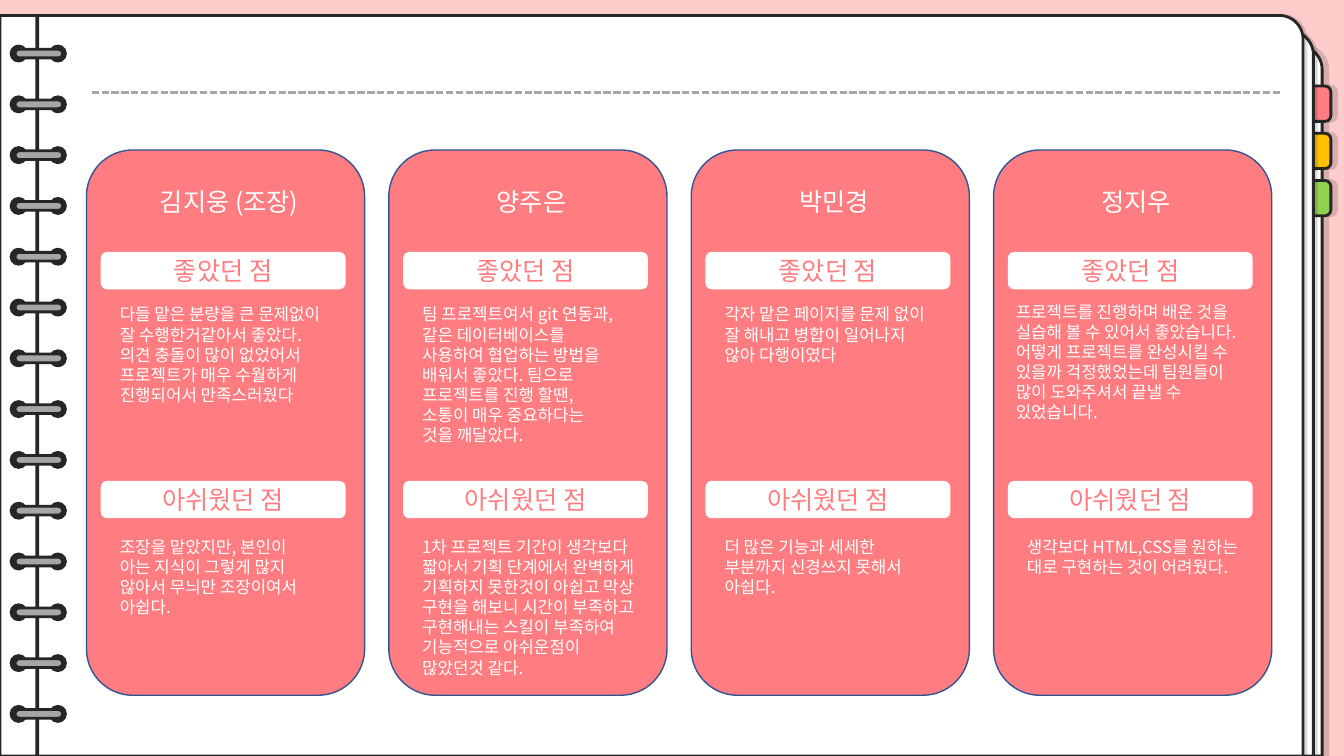
"""Builds a notebook-style slide with four team members' project reviews."""
from lxml import etree
from pptx import Presentation
from pptx.dml.color import RGBColor
from pptx.enum.dml import MSO_LINE
from pptx.enum.shapes import MSO_CONNECTOR, MSO_SHAPE
from pptx.enum.text import MSO_ANCHOR, MSO_AUTO_SIZE, PP_ALIGN
from pptx.oxml.ns import qn
from pptx.util import Cm, Pt

RECT, OVAL, ROUND = MSO_SHAPE.RECTANGLE, MSO_SHAPE.OVAL, MSO_SHAPE.ROUNDED_RECTANGLE
PAGE, TAB = MSO_SHAPE.ROUND_1_RECTANGLE, MSO_SHAPE.ROUND_2_SAME_RECTANGLE
STRAIGHT, DASH = MSO_CONNECTOR.STRAIGHT, MSO_LINE.SQUARE_DOT
MIDDLE, GROW = MSO_ANCHOR.MIDDLE, MSO_AUTO_SIZE.SHAPE_TO_FIT_TEXT
LEFT, CENTER = PP_ALIGN.LEFT, PP_ALIGN.CENTER
FONT = "Noto Sans CJK KR"
COLORS = {"bg": "FFCCCC", "white": "FFFFFF", "ink": "262626", "grey": "A6A6A6",
          "pink": "FF7C80", "amber": "FFC000", "green": "92D050", "navy": "325491"}
RGB = {k: RGBColor.from_string(v) for k, v in COLORS.items()}


def add_box(kind, x, y, w, h, fill, line=None, width=2, shadow=0):
    sp = s.shapes.add_shape(kind, Cm(x), Cm(y), Cm(w), Cm(h))
    sp.shadow.inherit = False
    sp.fill.solid()
    sp.fill.fore_color.rgb = RGB[fill]
    if line:
        sp.line.color.rgb = RGB[line]
        sp.line.width = Pt(width)
    else:
        sp.line.fill.background()
    if shadow:
        effects = sp._element.spPr.find(qn("a:effectLst"))
        outer = etree.SubElement(effects, qn("a:outerShdw"), dist=str(Pt(shadow)),
                                 dir="0", algn="l", rotWithShape="0")
        clr = etree.SubElement(outer, qn("a:srgbClr"), val="000000")
        etree.SubElement(clr, qn("a:alpha"), val="15000")
    return sp


def write(sp, text, size, color, align):
    tf = sp.text_frame
    tf.word_wrap = True
    tf.text = text
    for p in tf.paragraphs:
        p.alignment = align
        for r in p.runs:
            r.font.size = Pt(size)
            r.font.name = FONT
            r.font.color.rgb = RGB[color]
            etree.SubElement(r._r.get_or_add_rPr(), qn("a:ea"), typeface=FONT)
    return tf


prs = Presentation()
prs.slide_width, prs.slide_height = Cm(33.87), Cm(19.05)
s = prs.slides.add_slide(prs.slide_layouts[6])
s.background.fill.solid()
s.background.fill.fore_color.rgb = RGB["bg"]

PAGES = [(1.17, 33.32, 4), (0.79, 33.1, 2), (0.39, 32.84, 2)]
for i, (top, width, shadow) in enumerate(PAGES):
    sp = add_box(PAGE, 0, top, width, 19.05 - top, "white", "ink", shadow=shadow)
    sp.adjustments[0] = 0.032
    if i == 0:
        for j, color in enumerate(["pink", "amber", "green"]):
            tab = add_box(TAB, 32.64, 2.16 + j * 1.19, 0.89, 0.91, color, "ink", shadow=4)
            tab.rotation = 90

add_box(RECT, 0.89, 0.39, 0.1, 18.66, "ink")
for i in range(14):
    y = 1.16 + i * 1.28
    for x in (0.28, 1.27):
        add_box(OVAL, x, y, 0.38, 0.38, "ink", "ink")
    ring = add_box(ROUND, 0.38, y + 0.08, 1.2, 0.22, "grey", "ink")
    ring.adjustments[0] = 0.5

rule = s.shapes.add_connector(STRAIGHT, Cm(2.31), Cm(2.33), Cm(32.31), Cm(2.33))
rule.line.color.rgb = RGB["grey"]
rule.line.width = Pt(1.75)
rule.line.dash_style = DASH
etree.SubElement(rule._element.spPr, qn("a:effectLst"))

MEMBERS = [
    ("김지웅 (조장)",
     (0.59, 7.54, 5.82, "다들 맡은 분량을 큰 문제없이 잘 수행한거같아서 좋았다.\n의견 충돌이 많이 없었어서\n"
                        "프로젝트가 매우 수월하게\n진행되어서 만족스러웠다"),
     (5.38, "조장을 맡았지만, 본인이 아는 지식이 그렇게 많지 않아서 무늬만 조장이여서 아쉽다.")),
    ("양주은",
     (0.59, 7.54, 5.38, "팀 프로젝트여서 git 연동과, 같은 데이터베이스를 사용하여 협업하는 방법을 배워서 좋았다. "
                        "팀으로 프로젝트를 진행 할땐, 소통이 매우 중요하다는 것을 깨달았다."),
     (5.94, "1차 프로젝트 기간이 생각보다 짧아서 기획 단계에서 완벽하게 기획하지 못한것이 아쉽고 막상 "
            "구현을 해보니 시간이 부족하고 구현해내는 스킬이 부족하여 기능적으로 아쉬운점이 많았던것 같다.")),
    ("박민경",
     (0.59, 7.54, 5.94, "각자 맡은 페이지를 문제 없이 잘 해내고 병합이 일어나지 않아 다행이였다"),
     (5.72, "더 많은 기능과 세세한 부분까지 신경쓰지 못해서 아쉽다.")),
    ("정지우",
     (0.31, 7.47, 6.45, "프로젝트를 진행하며 배운 것을\n실습해 볼 수 있어서 좋았습니다. 어떻게 프로젝트를 "
                        "완성시킬 수 있을까 걱정했었는데 팀원들이 많이 도와주셔서 끝낼 수 있었습니다."),
     (5.94, "생각보다 HTML,CSS를 원하는 대로 구현하는 것이 어려웠다.")),
]
for i, (name, (dx, good_y, good_w, good), (bad_w, bad)) in enumerate(MEMBERS):
    x = 2.18 + i * 7.62
    add_box(ROUND, x, 3.78, 7.01, 13.74, "pink", "navy", 1)
    for y, heading in [(6.35, "좋았던 점"), (12.12, "아쉬웠던 점")]:
        banner = add_box(ROUND, x + 0.36, y, 6.17, 0.94, "white")
        write(banner, heading, 18, "pink", CENTER).vertical_anchor = MIDDLE
    texts = [(0.65, 4.57, 5.89, 1.02, name, 18, CENTER),
             (dx, good_y, good_w, 2.82, good, 12, LEFT),
             (0.59, 13.39, bad_w, 2.31, bad, 12, LEFT)]
    for left, y, w, h, text, size, align in texts:
        box = s.shapes.add_textbox(Cm(x + left), Cm(y), Cm(w), Cm(h))
        write(box, text, size, "white", align).auto_size = GROW

prs.save("out.pptx")
